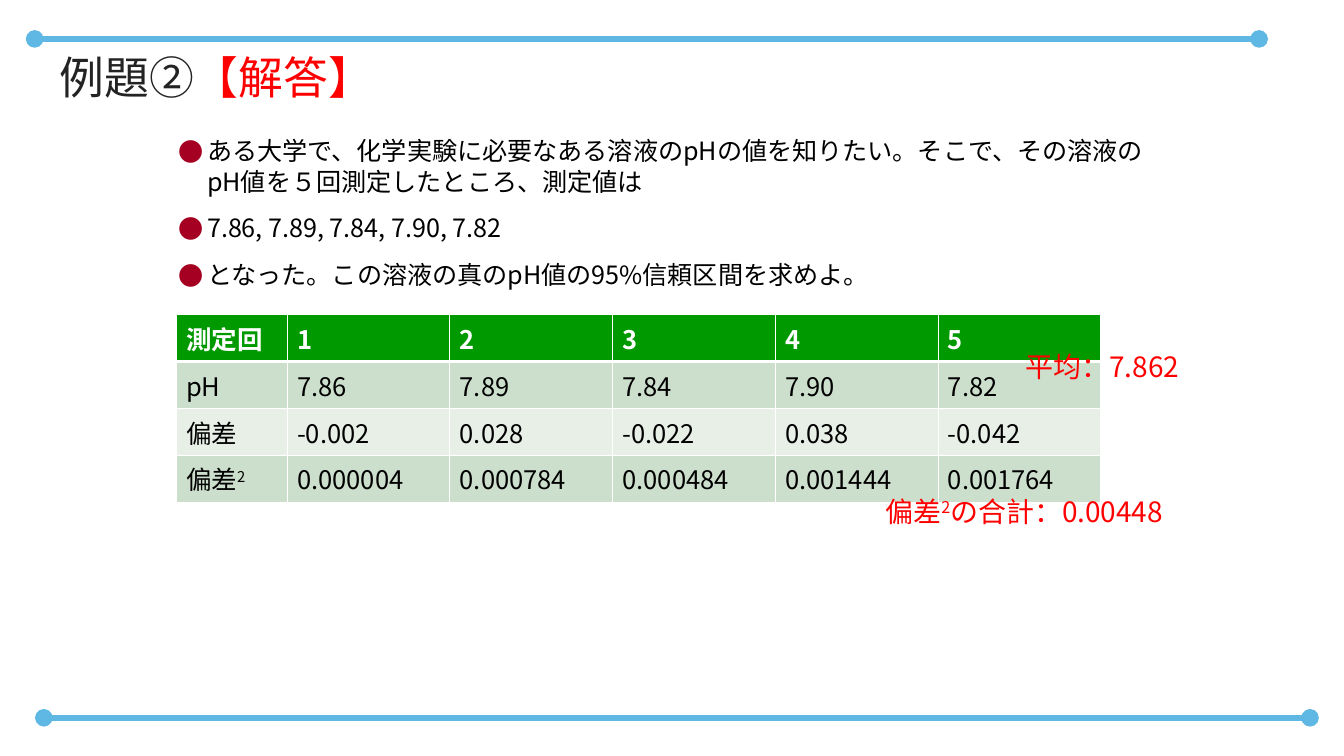
from pptx import Presentation
from pptx.dml.color import RGBColor
from pptx.enum.shapes import MSO_CONNECTOR
from pptx.enum.text import MSO_ANCHOR, MSO_AUTO_SIZE, PP_ALIGN
from pptx.oxml.ns import qn
from pptx.util import Inches, Pt
from lxml import etree

LINE = MSO_CONNECTOR.STRAIGHT
TOP, MIDDLE = MSO_ANCHOR.TOP, MSO_ANCHOR.MIDDLE
FIXED, LEFT = MSO_AUTO_SIZE.NONE, PP_ALIGN.LEFT

# Content: a run is text, or (text, changes to its format)
TITLE = ["例題②", ("【解答】\u3000", {"color": "red"})]
TASK = [
    "ある大学で、化学実験に必要なある溶液のpHの値を知りたい。"
    "そこで、その溶液のpH値を５回測定したところ、測定値は",
    "7.86, 7.89, 7.84, 7.90, 7.82",
    "となった。この溶液の真のpH値の95%信頼区間を求めよ。",
]
SQUARE = ["偏差", ("2", {"base": 30})]
ROWS = [
    ["測定回", "1", "2", "3", "4", "5"],
    ["pH", "7.86", "7.89", "7.84", "7.90", "7.82"],
    ["偏差", "-0.002", "0.028", "-0.022", "0.038", "-0.042"],
    [SQUARE, "0.000004", "0.000784", "0.000484", "0.001444", "0.001764"],
]
NOTES = [  # runs, box, wrap
    (SQUARE + ["の合計：0.00448"], (12.42, 6.94, 4.4, 0.58), True),
    (["平均：7.862"], (14.4, 4.9, 2.54, 0.58), False),
]
RULES = [(0.49, 17.8, 0.55), (0.62, 18.52, 10.15)]  # left, right, height

THEME = {
    "font": "Noto Sans CJK JP",
    "color": {"ink": "232323", "black": "000000", "white": "FFFFFF",
              "red": "FF0000", "dot": "A50021", "rule": "5FB8E4",
              "head": "009900", "odd": "CCDECC", "even": "E7EFE7"},
    "size": {"title": 45.6, "body": 25.6, "cell": 26, "note": 28.5},
}


def rgb(name):
    return RGBColor.from_string(THEME["color"][name])


def add(node, tag, **attrs):
    return etree.SubElement(node, qn(tag), attrs)


def write(para, runs, size, color, bold=False):
    for part in [runs] if isinstance(runs, str) else runs:
        text, diff = (part, {}) if isinstance(part, str) else part
        look = {"color": color, "base": 0} | diff
        run = para.add_run()
        run.text = text
        font = {"name": THEME["font"], "size": Pt(THEME["size"][size]),
                "bold": bold}
        for key, value in font.items():
            setattr(run.font, key, value)
        run.font.color.rgb = rgb(look["color"])
        props = run.font._element
        if look["base"]:
            props.set("baseline", str(look["base"] * 1000))
        props.find(qn("a:latin")).addnext(
            props.makeelement(qn("a:ea"), {"typeface": THEME["font"]}))


def setup(frame, **form):
    for key, value in form.items():
        setattr(frame, key, value)


def add_box(slide, box, wrap=True):
    frame = slide.shapes.add_textbox(*map(Inches, box)).text_frame
    setup(frame, word_wrap=wrap, auto_size=FIXED)
    return frame


def add_rule(slide, left, right, y):
    rule = slide.shapes.add_connector(
        LINE, Inches(left), Inches(y), Inches(right), Inches(y))
    rule.line.color.rgb = rgb("rule")
    rule.line.width = Pt(6)
    ends = rule.line._get_or_add_ln()
    add(ends, "a:headEnd", type="oval")
    add(ends, "a:tailEnd", type="oval")
    add(rule._element.spPr, "a:effectLst")


def add_title(slide):
    title = slide.shapes.title
    box = zip(("left", "top", "width", "height"), (0.84, 0.63, 13.9, 0.9))
    for key, value in box:
        setattr(title, key, Inches(value))
    frame = title.text_frame
    setup(frame, margin_left=0, margin_top=0, margin_right=0, margin_bottom=0,
          vertical_anchor=MIDDLE, word_wrap=True, auto_size=FIXED)
    frame.paragraphs[0].alignment = LEFT
    write(frame.paragraphs[0], TITLE, "title", "ink")


def add_task(slide):
    frame = add_box(slide, (2.43, 1.87, 13.85, 2.3))
    for i, text in enumerate(TASK):
        para = frame.add_paragraph() if i else frame.paragraphs[0]
        para.space_after = Pt(17.1)
        props = para._p.get_or_add_pPr()
        props.set("marL", str(Inches(0.4)))
        props.set("indent", str(-Inches(0.4)))
        tint = add(props, "a:buClr")
        add(tint, "a:srgbClr", val=THEME["color"]["dot"])
        add(props, "a:buFont", typeface=THEME["font"])
        add(props, "a:buChar", char="●")
        write(para, text, "body", "black")


def add_edges(cell, low):
    props = cell._tc.get_or_add_tcPr()
    widths = {"L": 1, "R": 1, "T": 1, "B": low}
    for i, (side, width) in enumerate(widths.items()):
        edge = etree.Element(qn("a:ln" + side), w=str(Pt(width)))
        add(add(edge, "a:solidFill"), "a:srgbClr",
            val=THEME["color"]["white"])
        props.insert(i, edge)


def add_grid(slide):
    grid = slide.shapes.add_table(
        len(ROWS), len(ROWS[0]), Inches(2.49), Inches(4.45),
        Inches(13.07), Inches(2.31)).table
    for c, col in enumerate(grid.columns):
        col.width = Inches(2.3 if c else 1.57)
    for r, row in enumerate(ROWS):
        grid.rows[r].height = Inches(2.31 / len(ROWS))
        fill = ("even", "odd")[r % 2] if r else "head"
        for c, runs in enumerate(row):
            cell = grid.cell(r, c)
            setup(cell, margin_left=Inches(0.14), margin_right=Inches(0.14),
                  margin_top=Inches(0.07), margin_bottom=Inches(0.07),
                  vertical_anchor=TOP)
            cell.fill.solid()
            cell.fill.fore_color.rgb = rgb(fill)
            add_edges(cell, 1 if r else 3)
            write(cell.text_frame.paragraphs[0], runs, "cell",
                  "black" if r else "white", bold=not r)


def main():
    deck = Presentation()
    deck.slide_width, deck.slide_height = Inches(19), Inches(10.69)
    slide = deck.slides.add_slide(deck.slide_layouts[5])
    for rule in RULES:
        add_rule(slide, *rule)
    add_title(slide)
    add_task(slide)
    add_grid(slide)
    for runs, box, wrap in NOTES:
        write(add_box(slide, box, wrap).paragraphs[0], runs, "note", "red")
    deck.save("out.pptx")


if __name__ == "__main__":
    main()
